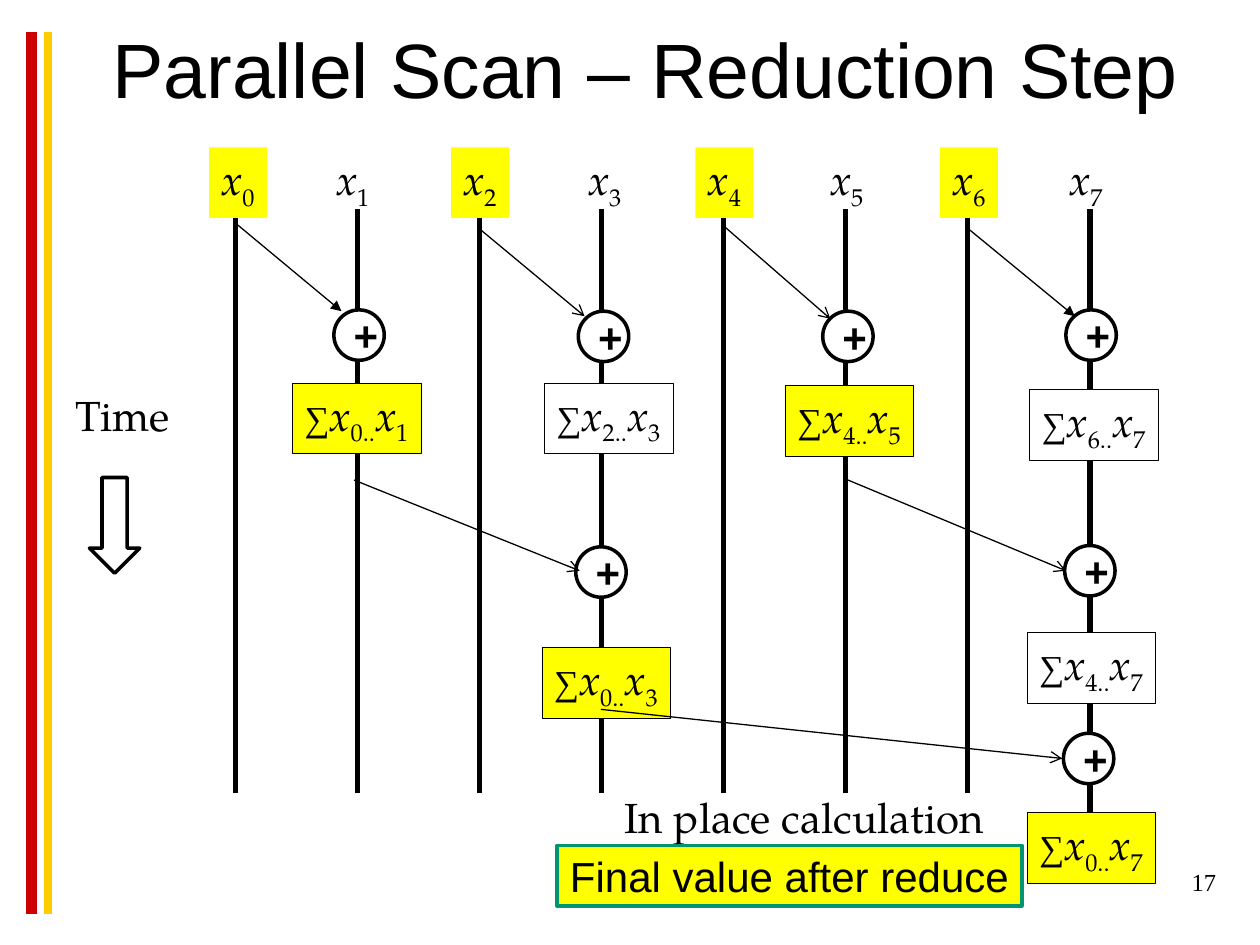
from lxml import etree
from pptx import Presentation
from pptx.dml.color import RGBColor
from pptx.enum.shapes import MSO_CONNECTOR as Connector, MSO_SHAPE as Shape
from pptx.enum.text import MSO_ANCHOR as Anchor, PP_ALIGN as Align
from pptx.oxml.ns import qn
from pptx.util import Inches, Pt

COLORS = {
    "black": "000000", "white": "FFFFFF", "yellow": "FFFF00",
    "red": "CC0000", "gold": "FFCC00", "green": "00956F",
}
SANS, SERIF, MATH = "Arial", "Times New Roman", "TeX Gyre Pagella"


def color_of(name):
    return RGBColor.from_string(COLORS[name])


def add_span(para, text, size=24, font=MATH, color="black", bold=False,
             italic=False, subscript=False):
    span = para.add_run()
    span.text = text
    span.font.size, span.font.name = Pt(size), font
    span.font.bold, span.font.italic = bold, italic
    span.font.color.rgb = color_of(color)
    if subscript:
        span.font._element.set("baseline", "-25000")


def add_variable(para, index):
    add_span(para, "x", italic=True)
    add_span(para, index, subscript=True)


class ScanSlide:
    """Holds the slide and draws each kind of element in its style."""

    def __init__(self, page):
        self.page = page

    def title(self, text, left, top, width, height):
        box = self.page.shapes.title
        box.left, box.top = Inches(left), Inches(top)
        box.width, box.height = Inches(width), Inches(height)
        frame = box.text_frame
        frame.vertical_anchor = Anchor.MIDDLE
        frame.paragraphs[0].alignment = Align.CENTER
        add_span(frame.paragraphs[0], text, size=44, font=SANS)

    def line(self, start, end, color="black", weight=3, head=None):
        points = [Inches(value) for value in (*start, *end)]
        line = self.page.shapes.add_connector(Connector.STRAIGHT, *points)
        line.line.color.rgb = color_of(color)
        line.line.width = Pt(weight)
        if head:
            etree.SubElement(line.line._get_or_add_ln(), qn("a:tailEnd"), type=head)
        etree.SubElement(line._element.spPr, qn("a:effectLst"))

    def text(self, text, left, top, width, height, align=Align.LEFT, wrap=True, **style):
        box = self.page.shapes.add_textbox(
            Inches(left), Inches(top), Inches(width), Inches(height))
        box.text_frame.word_wrap = wrap
        para = box.text_frame.paragraphs[0]
        para.alignment = align
        add_span(para, text, **style)

    def shape(self, kind, left, top, width, height, fill="white", line="black",
              weight=2, anchor=Anchor.MIDDLE, align=Align.CENTER, wrap=True):
        """Draw a preset shape and return it with its text ready to fill."""
        shape = self.page.shapes.add_shape(
            kind, Inches(left), Inches(top), Inches(width), Inches(height))
        shape.shadow.inherit = False
        if fill:
            shape.fill.solid()
            shape.fill.fore_color.rgb = color_of(fill)
        else:
            shape.fill.background()
        if line:
            shape.line.color.rgb = color_of(line)
            shape.line.width = Pt(weight)
        else:
            shape.line.fill.background()
        shape.text_frame.word_wrap = wrap
        shape.text_frame.vertical_anchor = anchor
        shape.text_frame.paragraphs[0].alignment = align
        return shape

    def input_label(self, index, left):
        fill = "yellow" if index % 2 == 0 else None
        box = self.shape(Shape.RECTANGLE, left, 1.17, 0.46, 0.56, fill=fill, line=None,
                         anchor=Anchor.TOP, align=Align.LEFT, wrap=False)
        add_variable(box.text_frame.paragraphs[0], str(index))

    def plus(self, left, top):
        circle = self.shape(Shape.OVAL, left, top, 0.4, 0.4)
        add_span(circle.text_frame.paragraphs[0], "+", font=SANS, bold=True)

    def partial_sum(self, first, last, left, top):
        # Sums that start at a finished block are highlighted
        fill = "yellow" if (first, last) in FINISHED else "white"
        box = self.shape(Shape.RECTANGLE, left, top, 1.02, 0.56, fill=fill, weight=0.25,
                         anchor=Anchor.TOP, align=Align.LEFT, wrap=False)
        para = box.text_frame.paragraphs[0]
        add_span(para, "∑", size=20, font=SERIF, italic=True)
        add_variable(para, f"{first}..")
        add_variable(para, str(last))


# Layout of the scan diagram
LANE_LEFT, LANE_GAP, LANE_TOP = 1.87, 6.78 / 7, 1.66
LABEL_LEFTS = [1.66, 2.57, 3.58, 4.57, 5.52, 6.49, 7.46, 8.39]
PLUSES = [(2.65, 2.46), (4.59, 2.47), (6.53, 2.47), (8.46, 2.46),
          (4.57, 4.34), (8.45, 4.33), (8.44, 5.82)]
SUMS = [(0, 1, 2.32, 3.04), (2, 3, 4.32, 3.04), (4, 5, 6.23, 3.06), (6, 7, 8.17, 3.09),
        (0, 3, 4.3, 5.14), (4, 7, 8.15, 5.02), (0, 7, 8.15, 6.45)]
FINISHED = {(0, 1), (4, 5), (0, 3), (0, 7)}
ARROWS = [((1.88, 1.78), (2.71, 2.47), "triangle"),
          ((3.81, 1.82), (4.64, 2.51), "arrow"),
          ((5.74, 1.79), (6.59, 2.53), "arrow"),
          ((7.69, 1.82), (8.53, 2.51), "triangle"),
          ((2.81, 3.81), (4.6, 4.53), "arrow"),
          ((6.73, 3.81), (8.46, 4.53), "arrow"),
          ((4.77, 5.63), (8.43, 6.02), "arrow")]


def main():
    deck = Presentation()
    deck.slide_width, deck.slide_height = Inches(10), Inches(7.5)
    slide = ScanSlide(deck.slides.add_slide(deck.slide_layouts[5]))

    # Side bars, title and page number
    slide.line((0.25, 0.25), (0.25, 7.25), "red", 6)
    slide.line((0.38, 0.25), (0.38, 7.25), "gold", 4.5)
    slide.title("Parallel Scan – Reduction Step", 0.5, 0.25, 9.25, 0.58)
    slide.text("17", 7.67, 6.83, 2.08, 0.5, align=Align.RIGHT, size=14, font=SERIF)

    # Lanes, the last one running down to the final sum
    for index in range(len(LABEL_LEFTS)):
        x = LANE_LEFT + index * LANE_GAP
        bottom = 6.45 if index == len(LABEL_LEFTS) - 1 else 6.29
        slide.line((x, LANE_TOP), (x, bottom))

    # Inputs, additions and partial sums
    for index, left in enumerate(LABEL_LEFTS):
        slide.input_label(index, left)
    for left, top in PLUSES:
        slide.plus(left, top)
    for first, last, left, top in SUMS:
        slide.partial_sum(first, last, left, top)
    for start, end, head in ARROWS:
        slide.line(start, end, weight=0.75, head=head)

    # Time direction and captions
    slide.text("Time", 0.5, 3.04, 1.05, 0.5)
    slide.shape(Shape.DOWN_ARROW, 0.71, 3.79, 0.4, 0.76)
    slide.text("In place calculation", 4.86, 6.23, 3.13, 0.5, wrap=False)
    result = slide.shape(Shape.RECTANGLE, 4.42, 6.71, 3.69, 0.48,
                         fill="yellow", line="green")
    add_span(result.text_frame.paragraphs[0], "Final value after reduce", font=SANS)

    deck.save("out.pptx")


if __name__ == "__main__":
    main()
